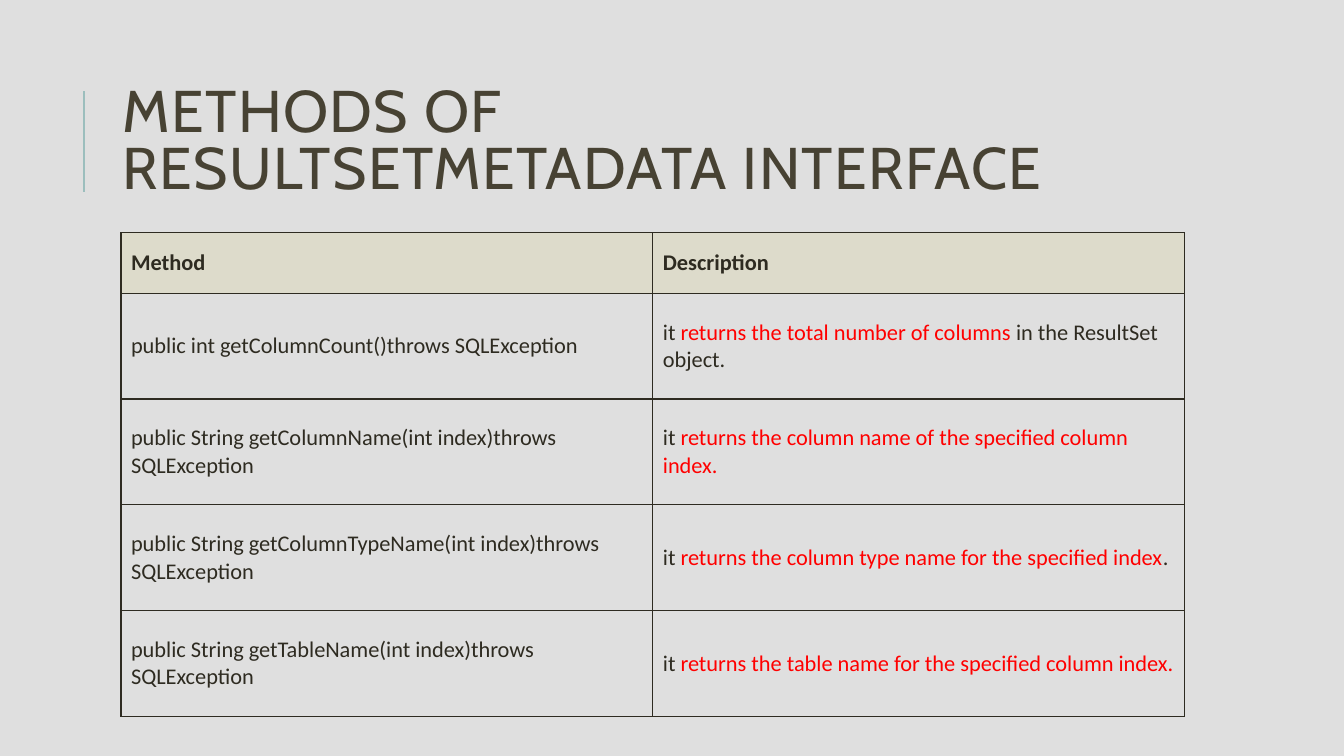
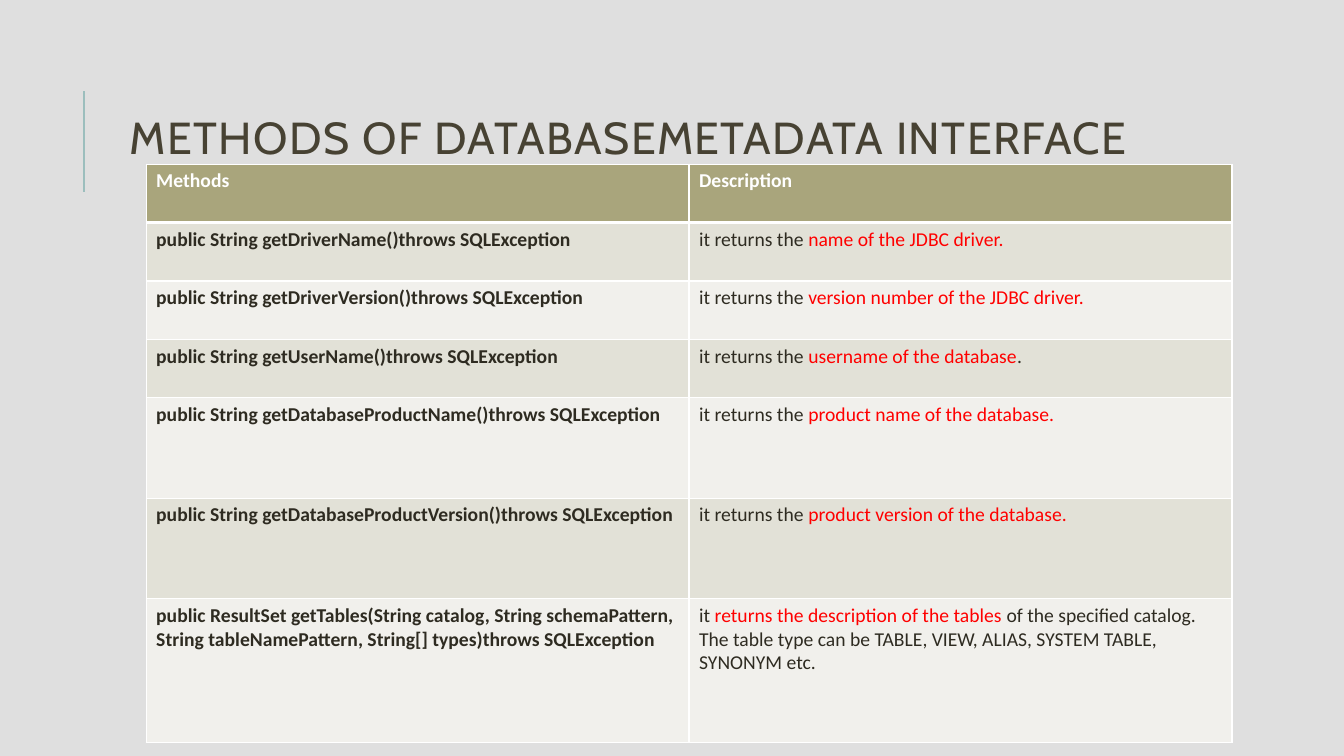
"""Build two slides that tabulate the methods of the JDBC metadata interfaces."""
from dataclasses import dataclass

from lxml import etree
from pptx import Presentation
from pptx import util as u
from pptx.dml import color
from pptx.enum import shapes, text
from pptx.oxml import ns

BACKGROUND, RULE, TITLE = "DFDFDF", "9CBEBD", "474233"
INK, RED, WHITE = "2E2B21", "FF0000", "FFFFFF"
Box = tuple[float, float, float, float]


@dataclass(frozen=True)
class TableStyle:
    """Look of one table; bands alternate below the header."""

    size: float
    header_fill: str
    header_ink: str
    bands: tuple[str | None, ...]
    border: str
    header_rule: float
    bold_methods: bool
    anchor: text.MSO_ANCHOR


@dataclass(frozen=True)
class MethodSlide:
    """One slide; text between bars in a cell is red."""

    title: str
    title_size: float
    title_box: Box
    left: float
    top: float
    col_width: float
    heights: tuple[float, ...]
    style: TableStyle
    rows: tuple[tuple[str, str], ...]


OUTLINED = TableStyle(16, "DDDBCB", INK, (None,), INK, 1, False, text.MSO_ANCHOR.MIDDLE)
BANDED = TableStyle(14, "A9A57C", WHITE, ("E2E1D7", "F1F0EC"), WHITE, 3, True,
                    text.MSO_ANCHOR.TOP)

SLIDES = (
    MethodSlide(
        "METHODS OF RESULTSETMETADATA INTERFACE", 42, (80.6, 52.6, 702, 100.8),
        86.4, 166.2, 379.9, (43.2,) + (75.6,) * 4, OUTLINED,
        (
            ("Method", "Description"),
            ("public int getColumnCount()throws SQLException",
             "it |returns the total number of columns |in the ResultSet object."),
            ("public String getColumnName(int index)throws SQLException",
             "it |returns the column name of the specified column index."),
            ("public String getColumnTypeName(int index)throws SQLException",
             "it |returns the column type name for the specified index|."),
            ("public String getTableName(int index)throws SQLException",
             "it |returns the table name for the specified column index."),
        ),
    ),
    MethodSlide(
        "METHODS OF DATABASEMETADATA INTERFACE", 32, (85.7, 49, 828, 104.4),
        104.4, 117.2, 387.8, (41.75,) * 4 + (71.7,) * 2 + (103,), BANDED,
        (
            ("Methods", "Description"),
            ("public String getDriverName()throws SQLException",
             "it returns the |name of the JDBC driver."),
            ("public String getDriverVersion()throws SQLException",
             "it returns the |version number of the JDBC driver."),
            ("public String getUserName()throws SQLException",
             "it returns the |username of the database|."),
            ("public String getDatabaseProductName()throws SQLException",
             "it returns the |product name of the database."),
            ("public String getDatabaseProductVersion()throws SQLException",
             "it returns the |product version of the database."),
            ("public ResultSet getTables(String catalog, String schemaPattern, "
             "String tableNamePattern, String[] types)throws SQLException",
             "it |returns the description of the tables |of the specified catalog. "
             "The table type can be TABLE, VIEW, ALIAS, SYSTEM TABLE, SYNONYM etc."),
        ),
    ),
)


def rgb(value: str) -> color.RGBColor:
    """Turn a hex string into a colour."""
    return color.RGBColor.from_string(value)


def add_run(p, content: str, ink: str, **formats):
    """Append a formatted run and return it."""
    r = p.add_run()
    r.text = content
    for name, value in formats.items():
        setattr(r.font, name, value)
    r.font.color.rgb = rgb(ink)
    return r


def add_frame(s) -> None:
    """Draw the background and the rule beside the title."""
    s.background.fill.solid()
    s.background.fill.fore_color.rgb = rgb(BACKGROUND)
    x = u.Pt(59.9)
    rule = s.shapes.add_connector(shapes.MSO_CONNECTOR.STRAIGHT, x, u.Pt(136.8), x, u.Pt(64.8))
    rule.line.color.rgb = rgb(RULE)
    rule.line.width = u.Pt(1.5)
    etree.SubElement(rule.element.spPr, ns.qn("a:effectLst"))


def add_title(s, content: str, size: float, box: Box) -> None:
    """Write the slide title."""
    tf = s.shapes.add_textbox(*map(u.Pt, box)).text_frame
    tf.word_wrap = True
    tf.vertical_anchor = text.MSO_ANCHOR.MIDDLE
    p = tf.paragraphs[0]
    p.line_spacing = 0.8
    r = add_run(p, content, TITLE, name="Cabin", size=u.Pt(size))
    r.font._element.set("spc", "100")


def set_borders(cell, ink: str, top: float, bottom: float) -> None:
    """Give a cell solid borders, one point wide at the sides."""
    tc_pr = cell._tc.get_or_add_tcPr()
    sides = {"a:lnL": 1, "a:lnR": 1, "a:lnT": top, "a:lnB": bottom}
    for index, (tag, width) in enumerate(sides.items()):
        ln = etree.Element(ns.qn(tag), w=str(u.Pt(width)))
        fill = etree.SubElement(ln, ns.qn("a:solidFill"))
        etree.SubElement(fill, ns.qn("a:srgbClr"), val=ink)
        tc_pr.insert(index, ln)


def fill_cell(cell, content: str, row: int, col: int, style: TableStyle) -> None:
    """Write and format one table cell."""
    header = row == 0
    fill = style.header_fill if header else style.bands[(row - 1) % len(style.bands)]
    if fill:
        cell.fill.solid()
        cell.fill.fore_color.rgb = rgb(fill)
    else:
        cell.fill.background()
    cell.vertical_anchor = style.anchor
    set_borders(cell, style.border, style.header_rule if row == 1 else 1,
                style.header_rule if header else 1)
    formats = {"name": "Calibri", "size": u.Pt(style.size),
               "bold": header or (style.bold_methods and col == 0)}
    ink = style.header_ink if header else INK
    for index, part in enumerate(content.split("|")):
        add_run(cell.text_frame.paragraphs[0], part, RED if index % 2 else ink, **formats)


def add_methods(s, spec_slide: MethodSlide) -> None:
    """Draw the table of methods."""
    m = spec_slide
    box = (m.left, m.top, 2 * m.col_width, sum(m.heights))
    tbl = s.shapes.add_table(len(m.rows), 2, *map(u.Pt, box)).table
    tbl.horz_banding = False
    for column in tbl.columns:
        column.width = u.Pt(m.col_width)
    for row, (height, contents) in enumerate(zip(m.heights, m.rows)):
        tbl.rows[row].height = u.Pt(height)
        for col, content in enumerate(contents):
            fill_cell(tbl.cell(row, col), content, row, col, m.style)


def main() -> None:
    """Build and save the presentation."""
    prs = Presentation()
    prs.slide_width, prs.slide_height = u.Pt(960), u.Pt(540)
    for m in SLIDES:
        s = prs.slides.add_slide(prs.slide_layouts[6])
        add_frame(s)
        add_title(s, m.title, m.title_size, m.title_box)
        add_methods(s, m)
    prs.save("out.pptx")


if __name__ == "__main__":
    main()
